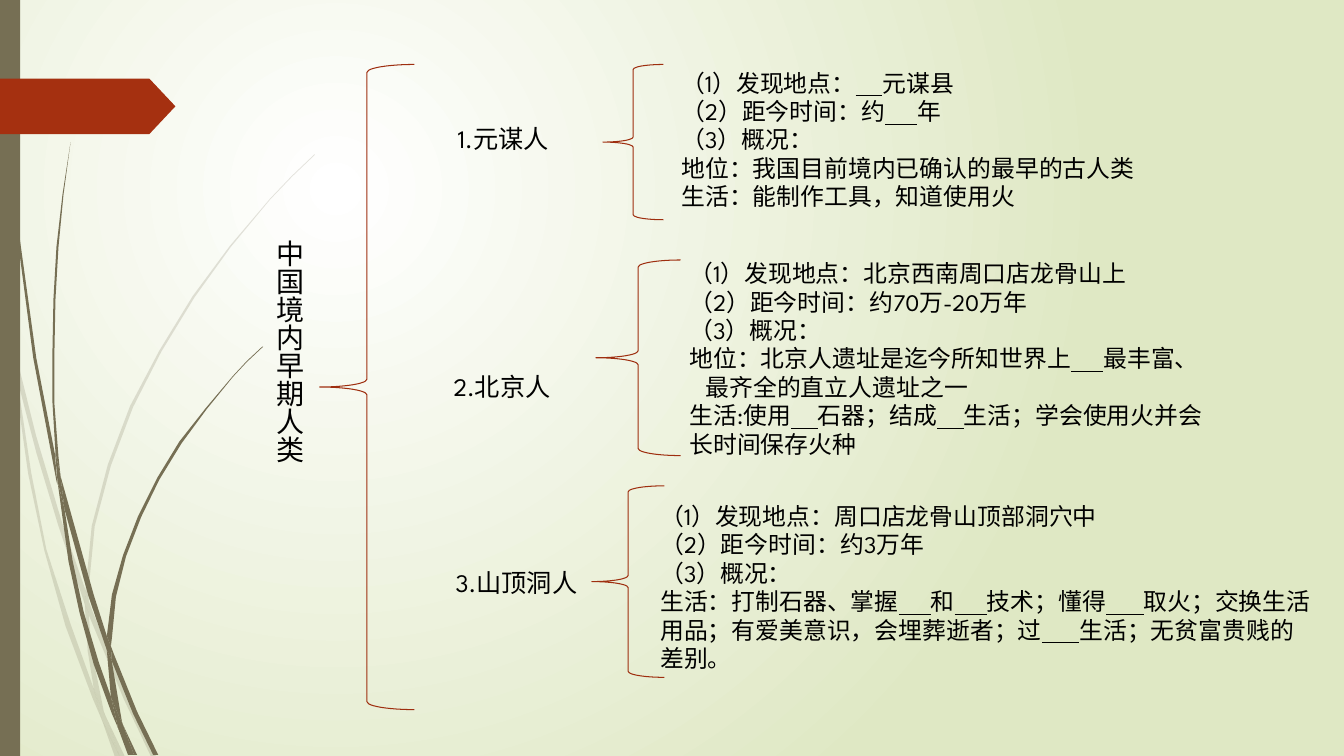
"""Build a bracket diagram slide about the early humans of China."""
from lxml import etree
from pptx import Presentation
from pptx.dml.color import RGBColor
from pptx.enum.shapes import MSO_SHAPE
from pptx.enum.text import MSO_ANCHOR, MSO_AUTO_SIZE, PP_ALIGN
from pptx.oxml.ns import qn
from pptx.util import Pt

PX = 9144
RECTANGLE, BANNER, BRACE = MSO_SHAPE.RECTANGLE, MSO_SHAPE.PENTAGON, MSO_SHAPE.LEFT_BRACE
TOP, LEFT, NO_FIT = MSO_ANCHOR.TOP, PP_ALIGN.LEFT, MSO_AUTO_SIZE.NONE
WHITE = RGBColor(0xFF, 0xFF, 0xFF)
PALE_GREEN = RGBColor(0xDF, 0xE8, 0xC4)
OLIVE = RGBColor(0x76, 0x6F, 0x54)
RUST = RGBColor(0xA5, 0x30, 0x10)
BRACE_RED = RGBColor(0x9E, 0x2E, 0x0F)
BLACK = RGBColor(0, 0, 0)
LATIN_FONT, CHINESE_FONT = "League Spartan", "Noto Sans CJK SC"


def paint(shape, color):
    """Fill a shape with one flat colour, without line or shadow."""
    shape.shadow.inherit = False
    shape.fill.solid()
    shape.fill.fore_color.rgb = color
    shape.line.fill.background()


def style_run(run, size, latin):
    """Give a run its size, colour and both typefaces."""
    run.font.size = Pt(size)
    run.font.color.rgb = BLACK
    run.font.name = latin
    etree.SubElement(run.font._element, qn("a:ea"), typeface=CHINESE_FONT)


presentation = Presentation()
presentation.slide_width, presentation.slide_height = 1333 * PX, 750 * PX
slide = presentation.slides.add_slide(presentation.slide_layouts[5])
shapes = slide.shapes

background = slide.background.fill
background.gradient()
for stop, color in zip(background.gradient_stops, (WHITE, PALE_GREEN)):
    stop.color.rgb = color
gradient = slide.element.find(".//" + qn("a:gradFill"))
gradient.remove(gradient.find(qn("a:lin")))
circle = etree.SubElement(gradient, qn("a:path"), {"path": "circle"})
etree.SubElement(circle, qn("a:fillToRect"), l="50000", t="50000", r="100000", b="100000")

PALE_GRASS = [
    [(11, 350), (9, 322), (0, 282), (0, 299), (10, 344)],
    [(58, 522), (84, 599), (85, 586), (62, 520), (36, 433), (14, 345), (17, 376), (36, 449)],
    [(92, 607), (88, 596), (88, 610), (123, 694), (150, 751), (155, 751), (127, 692)],
    [(119, 751), (124, 751), (105, 711)],
    [(93, 683), (70, 619), (46, 545), (31, 469), (17, 376), (11, 350), (28, 470), (44, 546),
     (65, 621), (92, 693), (101, 714), (99, 707)],
    [(84, 599), (87, 646), (93, 683), (96, 692), (105, 711), (103, 706), (91, 646),
     (88, 610), (88, 608)],
    [(88, 584), (94, 522), (110, 462), (132, 404), (160, 349), (193, 295), (229, 245),
     (268, 198), (290, 175), (312, 154), (312, 153), (289, 175), (268, 197), (228, 244),
     (191, 294), (158, 348), (129, 403), (107, 461), (91, 522), (85, 584), (85, 586), (88, 596)],
    [(101, 714), (114, 751), (119, 751)],
    [(88, 608), (88, 596), (85, 586), (84, 599)],
    [(96, 692), (93, 683), (99, 707), (101, 714), (119, 751), (105, 711)],
]
DARK_GRASS = [
    [(7, 110), (17, 233), (33, 355), (56, 477), (57, 481), (55, 457), (55, 453), (36, 355),
     (19, 232), (8, 109), (5, 48), (4, 0), (3, 0), (4, 48)],
    [(88, 592), (106, 645), (106, 631), (93, 590), (60, 472), (64, 505)],
    [(113, 649), (110, 641), (111, 656), (132, 708), (152, 749), (157, 749), (136, 706)],
    [(110, 691), (98, 657), (83, 607), (72, 556), (64, 505), (57, 477), (68, 557), (79, 608),
     (93, 659), (111, 708), (117, 722), (116, 717)],
    [(60, 472), (58, 453), (54, 401), (54, 349), (55, 297), (58, 245), (63, 193), (70, 141),
     (62, 193), (56, 245), (53, 297), (52, 349), (52, 399), (55, 449)],
    [(133, 749), (136, 749), (122, 719)],
    [(57, 477), (64, 505), (60, 472), (55, 449), (55, 453)],
    [(111, 633), (115, 592), (125, 552), (140, 513), (158, 476), (180, 440), (205, 406),
     (231, 374), (245, 359), (261, 344), (260, 344), (245, 358), (231, 373), (204, 405),
     (178, 438), (156, 474), (137, 512), (122, 551), (111, 590), (106, 631), (110, 641)],
    [(117, 722), (127, 749), (131, 749)],
    [(106, 645), (110, 691), (116, 706), (122, 719), (121, 716), (111, 656), (109, 651)],
    [(106, 645), (109, 651), (111, 656), (110, 641), (106, 631)],
    [(116, 706), (110, 691), (116, 717), (117, 722), (130, 749), (133, 749), (122, 719)],
]
for opacity, pieces in ((20, PALE_GRASS), (100, DARK_GRASS)):
    for outline in pieces:
        builder = shapes.build_freeform(*outline[0], scale=PX)
        builder.add_line_segments(outline[1:], close=True)
        blade = builder.convert_to_shape()
        paint(blade, OLIVE)
        color = blade.element.spPr.find(".//" + qn("a:srgbClr"))
        etree.SubElement(color, qn("a:alpha"), val=str(opacity * 1000))

stripe = shapes.add_shape(RECTANGLE, 0, 0, 20 * PX, 750 * PX)
paint(stripe, OLIVE)
banner = shapes.add_shape(BANNER, 0, 78 * PX, 174 * PX, 55 * PX)
paint(banner, RUST)
banner.adjustments[0] = 0.47

title = shapes.title
title.left, title.top, title.width, title.height = (PX * n for n in (230, 233, 84, 332))
title.text_frame.text = "中国境内早期人类"
title.text_frame.auto_size = NO_FIT
title.text_frame.vertical_anchor = TOP
title.text_frame.paragraphs[0].alignment = LEFT
title.element.find(".//" + qn("a:bodyPr")).set("vert", "eaVert")
style_run(title.text_frame.paragraphs[0].runs[0], 20, CHINESE_FONT)

BRACES = [(317, 64, 94, 640), (598, 64, 60, 154), (591, 258, 84, 194), (587, 482, 72, 190)]
for box in BRACES:
    brace = shapes.add_shape(BRACE, *(PX * length for length in box))
    brace.shadow.inherit = False
    brace.fill.background()
    brace.line.color.rgb = BRACE_RED
    brace.line.width = Pt(0.75)

TEXTS = [
    ((444, 117, 117, 40), 18, 22, ["1.元谋人"]),
    ((440, 363, 117, 40), 18, 22, ["2.北京人"]),
    ((442, 557, 142, 40), 18, 22, ["3.山顶洞人"]),
    ((666, 63, 537, 182), 17, 20.3, [
        "（1）发现地点：|5|元谋县",
        "（2）距今时间：约|6|年",
        "（3）概况：",
        "地位：我国目前境内已确认的最早的古人类",
        "生活：能制作工具，知道使用火"]),
    ((674, 252, 537, 212), 17, 20.3, [
        "（1）发现地点：北京西南周口店龙骨山上",
        "（2）距今时间：约70万-20万年",
        "（3）概况：",
        "地位：北京人遗址是迄今所知世界上|6|最丰富、最齐全的直立人遗址之一",
        "生活:使用|5|石器；结成|5|生活；学会使用火并会长时间保存火种"]),
    ((645, 493, 667, 182), 17, 20.3, [
        "（1）发现地点：周口店龙骨山顶部洞穴中",
        "（2）距今时间：约3万年",
        "（3）概况：",
        "生活：打制石器、掌握|6|和|6|技术；懂得|7|取火；交换生活用品；"
        "有爱美意识，会埋葬逝者；过|7|生活；无贫富贵贱的差别。"]),
]
for box, size, line_height, lines in TEXTS:
    frame = shapes.add_textbox(*(PX * length for length in box)).text_frame
    frame.word_wrap = True
    for index, line in enumerate(lines):
        paragraph = frame.add_paragraph() if index else frame.paragraphs[0]
        paragraph.line_spacing = Pt(line_height)
        if line.startswith("地位：北京人"):
            properties = paragraph._p.get_or_add_pPr()
            properties.set("marL", str(16 * PX))
            properties.set("indent", str(-16 * PX))
        for position, part in enumerate(line.split("|")):
            run = paragraph.add_run()
            is_blank = position % 2 == 1
            run.text = " " * int(part) if is_blank else part
            style_run(run, size, LATIN_FONT)
            run.font.underline = is_blank

presentation.save("out.pptx")
